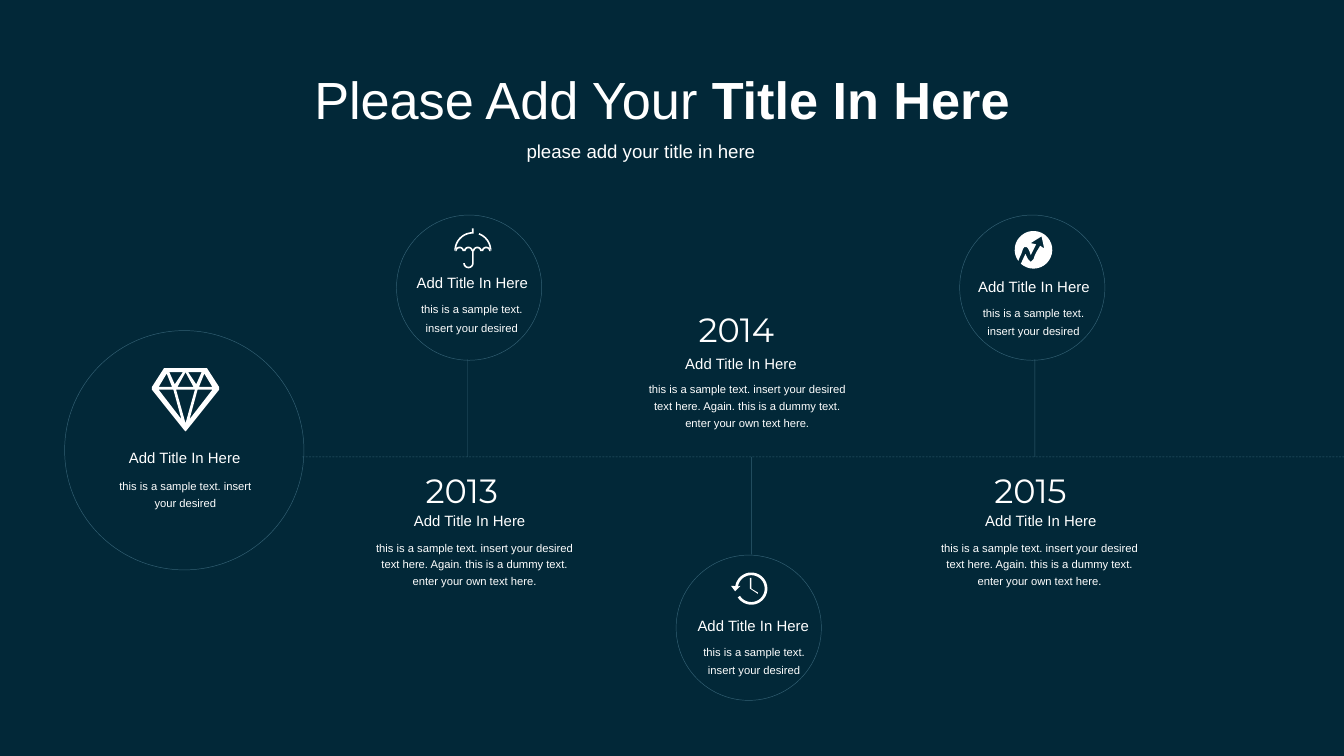
import math

import pptx
import pptx.dml.color
import pptx.enum.dml
import pptx.enum.shapes
import pptx.enum.text
import pptx.oxml
import pptx.oxml.ns
import pptx.util

Pt = pptx.util.Pt
Align = pptx.enum.text.PP_ALIGN
Dash = pptx.enum.dml.MSO_LINE

NAVY = pptx.dml.color.RGBColor(0x02, 0x28, 0x38)
WHITE = pptx.dml.color.RGBColor(0xFF, 0xFF, 0xFF)
SKY = pptx.dml.color.RGBColor(0xA4, 0xE2, 0xFE)

TITLE = {"size": Pt(28), "name": "Arial"}
SUBTITLE = {"size": Pt(10), "name": "Arial"}
YEAR = {"size": Pt(18), "name": "Montserrat"}
LABEL = {"size": Pt(8), "name": "Arial"}
BODY = {"size": Pt(6), "name": "Arial"}

HEADING = "Add Title In Here"
SHORT = "this is a sample text. insert your desired"
LONG = (SHORT + " text here. Again. this is a dummy text. "
        "enter your own text here.")

AXIS_Y = 244.8
CIRCLE = 77.8
ICON_UNIT = 0.72  # points per icon grid step


# Text
def add_text(s, box, runs, style, align=Align.LEFT, spacing=None, wrap=False):
    tf = s.shapes.add_textbox(*map(Pt, box)).text_frame
    tf.word_wrap = wrap
    tf.auto_size = pptx.enum.text.MSO_AUTO_SIZE.SHAPE_TO_FIT_TEXT
    p = tf.paragraphs[0]
    p.alignment = align
    if spacing:
        p.line_spacing = Pt(spacing)
    for text, extra in runs:
        r = p.add_run()
        r.text = text
        for key, value in {**style, **extra}.items():
            setattr(r.font, key, value)
        r.font.color.rgb = WHITE


def add_label(s, left, top, align=Align.LEFT):
    add_text(s, (left, top, 75.6, 17.3), [(HEADING, {})], LABEL, align)


def add_body(s, box, text, spacing=9):
    add_text(s, box, [(text, {})], BODY, Align.CENTER, spacing, wrap=True)


# Lines and circles
def style_line(line, dash=Dash.SOLID):
    line.width = Pt(0.25)
    line.color.rgb = SKY
    line.dash_style = dash
    color = line.fill._xPr.find(".//" + pptx.oxml.ns.qn("a:srgbClr"))
    alpha = color.makeelement(pptx.oxml.ns.qn("a:alpha"), {"val": "30000"})
    color.append(alpha)


def add_line(s, x1, y1, x2, y2, dash=Dash.SOLID):
    straight = pptx.enum.shapes.MSO_CONNECTOR.STRAIGHT
    line = s.shapes.add_connector(straight, *map(Pt, (x1, y1, x2, y2)))
    style_line(line.line, dash)
    props = line._element.spPr
    props.append(props.makeelement(pptx.oxml.ns.qn("a:effectLst"), {}))


def add_circle(s, left, top, size):
    oval = pptx.enum.shapes.MSO_SHAPE.OVAL
    sp = s.shapes.add_shape(oval, *map(Pt, (left, top, size, size)))
    sp.shadow.inherit = False
    sp.fill.background()
    style_line(sp.line)


# Icons: lists of closed contours on a small grid
def arc(cx, cy, radius, start, end, steps=32):
    angles = [math.radians(start + (end - start) * i / steps)
              for i in range(steps + 1)]
    return [(cx + radius * math.cos(a), cy + radius * math.sin(a))
            for a in angles]


def band(cx, cy, outer, inner, start, end):
    return arc(cx, cy, outer, start, end) + arc(cx, cy, inner, end, start)


def diamond():
    outline = [(50, 14), (41, 0), (9, 0), (0, 14), (0, 16), (24, 46),
               (25, 47), (26, 46), (50, 16)]
    left = [[(17, 12), (13, 3), (23, 3)],
            [(22, 38), (5, 16), (16, 16)],
            [(11, 4), (15, 14), (5, 14)]]
    right = [[(50 - x, y) for x, y in facet] for facet in left]
    middle = [[(32, 16), (25, 41), (18, 16)], [(19, 14), (25, 3), (31, 14)]]
    return [outline] + left + right + middle


def umbrella():
    dome = [band(13.8, 16.5, 13.8, 12.6, 180, 266),
            band(13.8, 16.5, 13.8, 12.6, 290, 360)]
    scallops = [band(3.9 + 6.6 * i, 17, 3.4, 2.2, 180, 360) for i in range(4)]
    tip = [(13.1, 0), (14.3, 0), (14.3, 3.9), (13.1, 3.9)]
    handle = ([(13.2, 17), (14.4, 17)] + arc(10.5, 25.8, 3.9, 0, 180)
              + arc(10.5, 25.8, 2.7, 180, 0))
    return dome + scallops + [tip, handle]


def growth():
    zigzag = [(8, 17), (9, 19), (10, 21), (11, 22), (12, 23), (13, 22),
              (14, 21), (15, 18), (16, 16), (19, 11), (22, 13), (20, 4),
              (12, 9), (16, 10), (12, 18), (11, 15), (10, 13), (9, 12),
              (7, 12), (6, 14), (5, 17), (4, 19)]
    return [arc(14, 14, 14, 144, 492) + zigzag]


def clock():
    ring = band(15, 12, 12, 10, 189, 507)
    arrow = [(7, 10), (3, 14), (0, 10)]
    hands = [(14, 4), (14, 12), (20, 16), (20, 15), (15, 12), (15, 4)]
    return [ring + arrow, hands]


def add_icon(s, left, top, contours):
    def place(contour):
        return [(Pt(left + ICON_UNIT * x), Pt(top + ICON_UNIT * y))
                for x, y in contour]

    first, *others = map(place, contours)
    builder = s.shapes.build_freeform(*first[0])
    builder.add_line_segments(first[1:], close=True)
    for contour in others:
        builder.move_to(*contour[0])
        builder.add_line_segments(contour[1:], close=True)
    sp = builder.convert_to_shape()
    sp.shadow.inherit = False
    sp.fill.solid()
    sp.fill.fore_color.rgb = WHITE
    sp.line.fill.background()


# Timeline parts
def add_year(s, year, year_at, label_at, body_box):
    add_text(s, (*year_at, 63.4, 28.8), [(year, {})], YEAR)
    add_label(s, *label_at)
    add_body(s, body_box, LONG)


def add_milestone(s, circle_at, label_at, body_left, icon_at, icon, stem):
    add_circle(s, *circle_at, CIRCLE)
    add_label(s, *label_at, Align.CENTER)
    add_body(s, (body_left, label_at[1] + 12.2, 76.3, 27.4), SHORT, 10)
    add_icon(s, *icon_at, icon)
    stem_x, stem_y = stem
    add_line(s, stem_x, AXIS_Y, stem_x, stem_y)


def main():
    prs = pptx.Presentation()
    prs.slide_width, prs.slide_height = Pt(720), Pt(405)
    s = prs.slides.add_slide(prs.slide_layouts[6])
    s.background.fill.solid()
    s.background.fill.fore_color.rgb = NAVY

    # Heading
    add_text(s, (161.3, 32.4, 391.7, 41),
             [("Please Add Your ", {}), ("Title In Here", {"bold": True})],
             TITLE)
    add_text(s, (275, 71.3, 137.5, 19.4),
             [("please add your title in here", {})], SUBTITLE)

    # Axis and starting circle
    add_line(s, 162, AXIS_Y, 720, AXIS_Y, Dash.DASH)
    add_circle(s, 34.6, 177.1, 128.2)
    add_icon(s, 81.4, 197.3, diamond())
    add_label(s, 61.2, 236.9, Align.CENTER)
    add_body(s, (55.4, 251.3, 87.8, 25.2), SHORT)

    # Years
    add_year(s, "2013", (221, 248.4), (214.6, 270.7),
             (190.1, 284.4, 128.2, 34.6))
    add_year(s, "2015", (525.6, 248.4), (520.6, 270.7),
             (494.6, 284.4, 124.6, 34.6))
    add_year(s, "2014", (367.2, 162), (360, 186.5),
             (339.1, 199.4, 122.4, 34.6))

    # Milestones
    add_milestone(s, (212.4, 115.2), (215.3, 143.3), 214.6,
                  (243.4, 122.4), umbrella(), (250.6, 192.5))
    add_milestone(s, (514.1, 115.2), (516.2, 145.4), 515.5,
                  (543.6, 123.8), growth(), (554.4, 192.5))
    add_milestone(s, (362.2, 297.4), (365.8, 326.9), 365.8,
                  (391.7, 306.7), clock(), (402.5, 297))

    prs.save("out.pptx")


if __name__ == "__main__":
    main()
